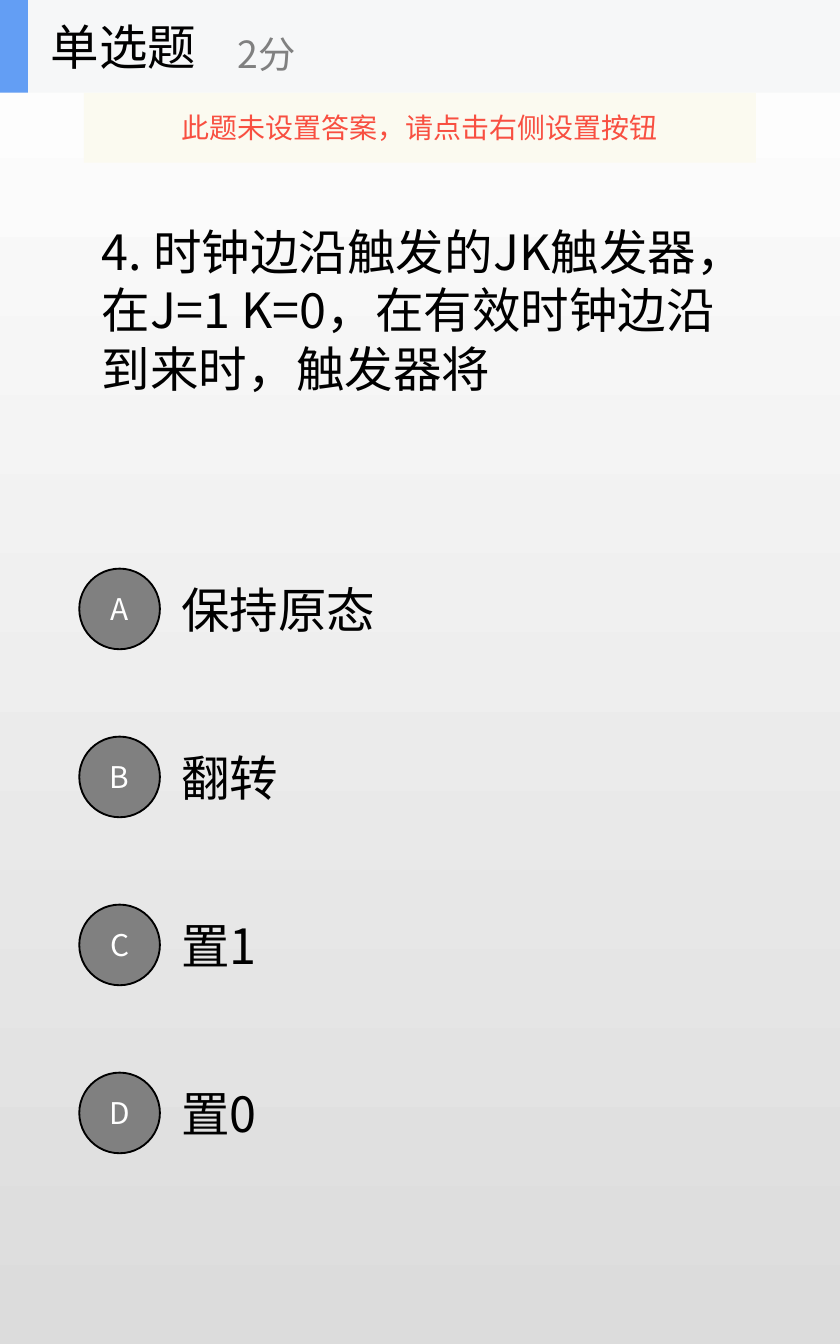
from lxml.etree import SubElement
from pptx import Presentation
from pptx.dml.color import RGBColor
from pptx.enum.shapes import MSO_SHAPE as Shape
from pptx.enum.text import MSO_ANCHOR as Anchor, PP_ALIGN as Align
from pptx.oxml.ns import qn
from pptx.util import Inches, Pt

WIDTH, HEIGHT = 6.25, 10
UNIT = WIDTH / 10  # the slide is a grid of 10 columns by 16 rows
FONT = "Noto Sans CJK SC"
COLORS = {
    "top": "FFFFFF", "bottom": "DCDCDC", "ink": "000000", "muted": "808080",
    "letter": "FFFFFF", "header": "F6F7F8", "accent": "639EF4",
    "notice": "FBFAEF", "warning": "F84F41",
}


def write(box, text, size, color, align=Align.LEFT):
    """Put one styled run into a vertically centred box."""
    frame = box.text_frame
    frame.word_wrap = True
    frame.vertical_anchor = Anchor.MIDDLE
    paragraph = frame.paragraphs[0]
    paragraph.alignment = align
    run = paragraph.add_run()
    run.text = text
    run.font.size = Pt(size)
    run.font.name = FONT
    run.font.color.rgb = RGBColor.from_string(COLORS[color])
    SubElement(run.font._element, qn("a:ea"), typeface=FONT)


def add_panel(kind, bounds, color):
    """Add a flat filled shape without outline and return it."""
    panel = slide.shapes.add_shape(kind, *map(Inches, bounds))
    panel.shadow.inherit = False
    panel.fill.solid()
    panel.fill.fore_color.rgb = RGBColor.from_string(COLORS[color])
    panel.line.fill.background()
    return panel


deck = Presentation()
deck.slide_width, deck.slide_height = Inches(WIDTH), Inches(HEIGHT)
slide = deck.slides.add_slide(deck.slide_layouts[6])

backdrop = slide.background.fill
backdrop.gradient()
backdrop.gradient_angle = 270
for stop, color, position in zip(backdrop.gradient_stops, ("top", "bottom"), (0, 1)):
    stop.color.rgb = RGBColor.from_string(COLORS[color])
    stop.position = position

# Question
question = slide.shapes.add_textbox(*map(Inches, (0.66, 0.74, 4.94, 5 * UNIT)))
write(question, "4. 时钟边沿触发的JK触发器，在J=1 K=0，在有效时钟边沿到来时，触发器将", 26, "ink")

# Answers, one every two rows
answer_height, badge_size = 1.5 * UNIT, 0.6
for index, (letter, wording) in enumerate(zip("ABCD", ("保持原态", "翻转", "置1", "置0"))):
    top = (6.5 + 2 * index) * UNIT
    answer = slide.shapes.add_textbox(
        *map(Inches, (2 * UNIT, top, 7 * UNIT, answer_height)))
    write(answer, wording, 26, "ink")
    badge_top = top + (answer_height - badge_size) / 2
    badge = add_panel(Shape.OVAL, (0.59, badge_top, badge_size, badge_size), "muted")
    badge.line.color.rgb = RGBColor.from_string(COLORS["ink"])
    badge.line.width = Pt(1)
    write(badge, letter, 16, "letter", Align.CENTER)

# Header
header_height = 0.69
add_panel(Shape.RECTANGLE, (0, 0, WIDTH, header_height), "header")
add_panel(Shape.RECTANGLE, (0, 0, WIDTH / 30, header_height), "accent")
for wording, size, color, bounds in (
    ("单选题", 26, "ink", (0.28, 0, 2.08, header_height)),
    ("2分", 20, "muted", (1.67, 0.12, 4 * UNIT, 0.56)),
):
    write(slide.shapes.add_textbox(*map(Inches, bounds)), wording, size, color)

# Notice under the header
notice = add_panel(Shape.RECTANGLE, (UNIT, header_height, 8 * UNIT, 0.52), "notice")
notice_color = notice.fill._xPr.find(qn("a:solidFill"))[0]
SubElement(notice_color, qn("a:alpha"), val="90000")
write(notice, "此题未设置答案，请点击右侧设置按钮", 15, "warning", Align.CENTER)

deck.save("out.pptx")
